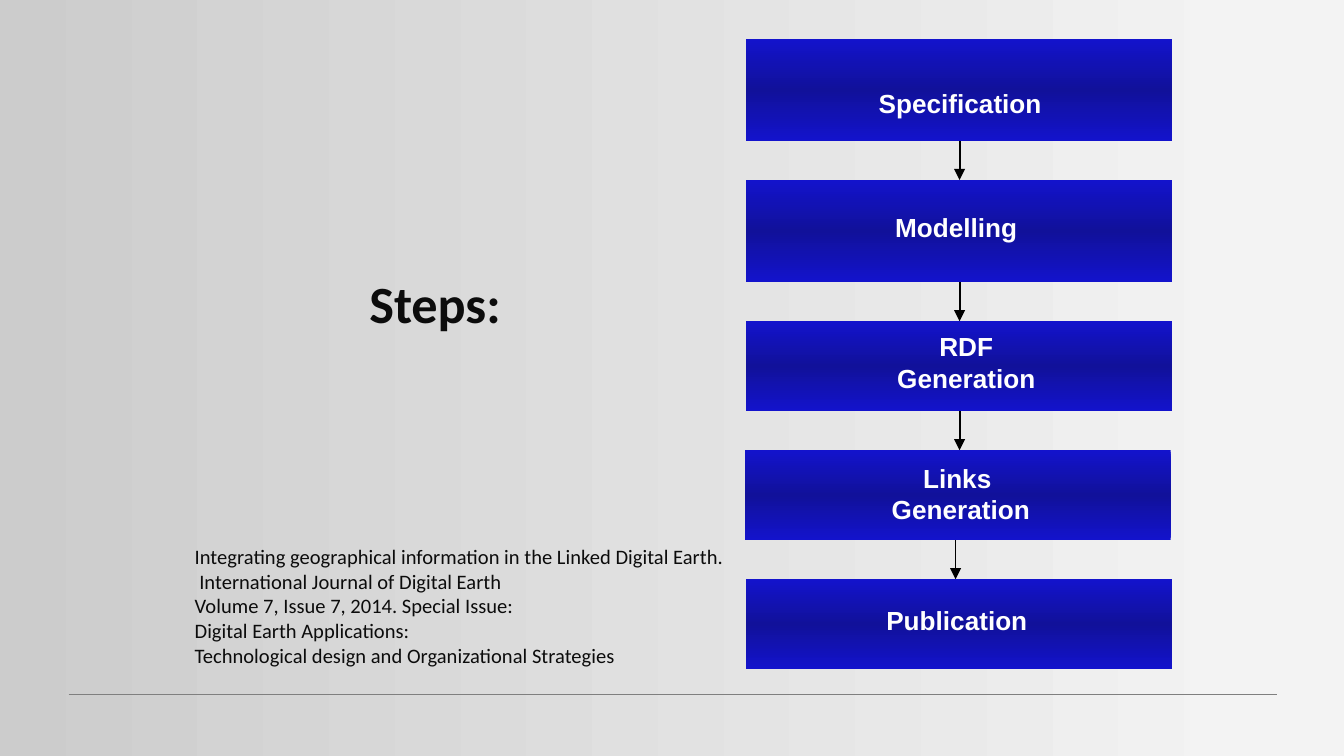
from copy import deepcopy

from lxml import etree
from pptx import Presentation
from pptx.dml.color import RGBColor
from pptx.enum import shapes, text
from pptx.oxml.ns import qn
from pptx.util import Inches, Pt

BLUE = RGBColor(0x13, 0x13, 0xCC)
NAVY = RGBColor(0x11, 0x11, 0x9A)
WHITE = RGBColor(0xFF, 0xFF, 0xFF)
BLACK = RGBColor(0x00, 0x00, 0x00)
INK = RGBColor(0x0C, 0x0C, 0x0C)
RULE_GRAY = RGBColor(0x7F, 0x7F, 0x7F)
BG_LIGHT = RGBColor(0xF3, 0xF3, 0xF3)
BG_DARK = RGBColor(0xCC, 0xCC, 0xCC)

STEP_GAP = 0.29
# label lines, box left, box height, label box (dx, dy, w, h), arrow dx
STEPS = [
    (["Specification"], 0.01, 0.76, (0.03, 0, 3.13, 0.59), 1.59),
    (["Modelling"], 0.01, 0.76, (0.69, 0.18, 1.75, 0.38), 1.59),
    (["RDF", "Generation"], 0.01, 0.67, (0.67, 0.02, 1.94, 0.65), 1.59),
    (["Links ", "Generation"], 0, 0.67, (0.64, 0.04, 1.94, 0.65), 1.57),
    (["Publication"], 0.01, 0.67, (0.58, 0.14, 1.98, 0.38), None),
]
CITATION = [
    "Integrating geographical information in the Linked Digital Earth.",
    " International Journal of Digital Earth",
    "Volume 7, Issue 7, 2014. Special Issue:",
    "Digital Earth Applications:",
    "Technological design and Organizational Strategies",
]


def add_text(s, lines, x, y, w, h, size, color, font="Calibri", bold=False,
             align=text.PP_ALIGN.LEFT, wrap=False, at_bottom=False):
    tf = s.shapes.add_textbox(Inches(x), Inches(y), Inches(w), Inches(h)).text_frame
    tf.word_wrap = wrap
    if at_bottom:
        tf.vertical_anchor = text.MSO_ANCHOR.BOTTOM
        tf.margin_bottom = 0
    for i, line in enumerate(lines):
        p = tf.paragraphs[0] if i == 0 else tf.add_paragraph()
        p.alignment = align
        r = p.add_run()
        r.text = line
        r.font.name, r.font.size, r.font.bold = font, Pt(size), bold
        r.font.color.rgb = color


def add_line(s, x1, y1, x2, y2, color, width, arrow=False):
    line = s.shapes.add_connector(shapes.MSO_CONNECTOR.STRAIGHT, Inches(x1),
                                  Inches(y1), Inches(x2), Inches(y2))
    line.line.color.rgb = color
    line.line.width = Pt(width)
    sp_pr = line._element.spPr
    if arrow:
        etree.SubElement(sp_pr.find(qn("a:ln")), qn("a:tailEnd"), type="triangle")
    etree.SubElement(sp_pr, qn("a:effectLst"))


def add_step_box(s, x, y, w, h):
    sp = s.shapes.add_shape(shapes.MSO_SHAPE.RECTANGLE, Inches(x), Inches(y),
                            Inches(w), Inches(h))
    sp.shadow.inherit = False
    sp.line.fill.background()
    sp.fill.gradient()
    sp.fill.gradient_angle = 90
    # A third stop is needed for the dark middle band
    stop_list = sp._element.spPr.find(qn("a:gradFill")).find(qn("a:gsLst"))
    stop_list.insert(1, deepcopy(stop_list[0]))
    set_stops(sp.fill, (0, BLUE), (0.5, NAVY), (1, BLUE))


def set_stops(fill, *stops):
    for stop, (position, color) in zip(fill.gradient_stops, stops):
        stop.position = position
        stop.color.rgb = color


def add_background(s):
    fill = s.background.fill
    fill.gradient()
    fill.gradient_angle = 180
    set_stops(fill, (0.07, BG_LIGHT), (1, BG_DARK))


def add_flow(s, x, y, w):
    """Column of step boxes joined by arrows."""
    for i, (lines, dx, h, (lx, ly, lw, lh), arrow_dx) in enumerate(STEPS):
        left = x + dx
        add_step_box(s, left, y, w, h)
        add_text(s, lines, left + lx, y + ly, lw, lh, 14, WHITE, font="Arial",
                 bold=True, align=text.PP_ALIGN.CENTER, wrap=i == 0, at_bottom=i == 0)
        if arrow_dx is not None:
            arrow_x = left + arrow_dx
            add_line(s, arrow_x, y + h, arrow_x, y + h + STEP_GAP, BLACK, 1, arrow=True)
        y += h + STEP_GAP


def add_left_text(s, x, y):
    """Heading with the citation below it."""
    add_text(s, ["Steps:"], x + 1.3, y, 1.4, 0.57, 28, INK, bold=True)
    add_text(s, CITATION, x, y + 2.03, 4.15, 1.03, 11, INK)


def main():
    prs = Presentation()
    # Widescreen 16:9
    prs.slide_width = Inches(10)
    prs.slide_height = prs.slide_width * 9 // 16
    s = prs.slides.add_slide(prs.slide_layouts[6])
    add_background(s)
    # Footer rule
    add_line(s, 0.51, 5.17, 9.5, 5.17, RULE_GRAY, 0.75)
    add_flow(s, 5.54, 0.29, 3.17)
    add_left_text(s, 1.35, 1.97)
    prs.save("out.pptx")


if __name__ == "__main__":
    main()
